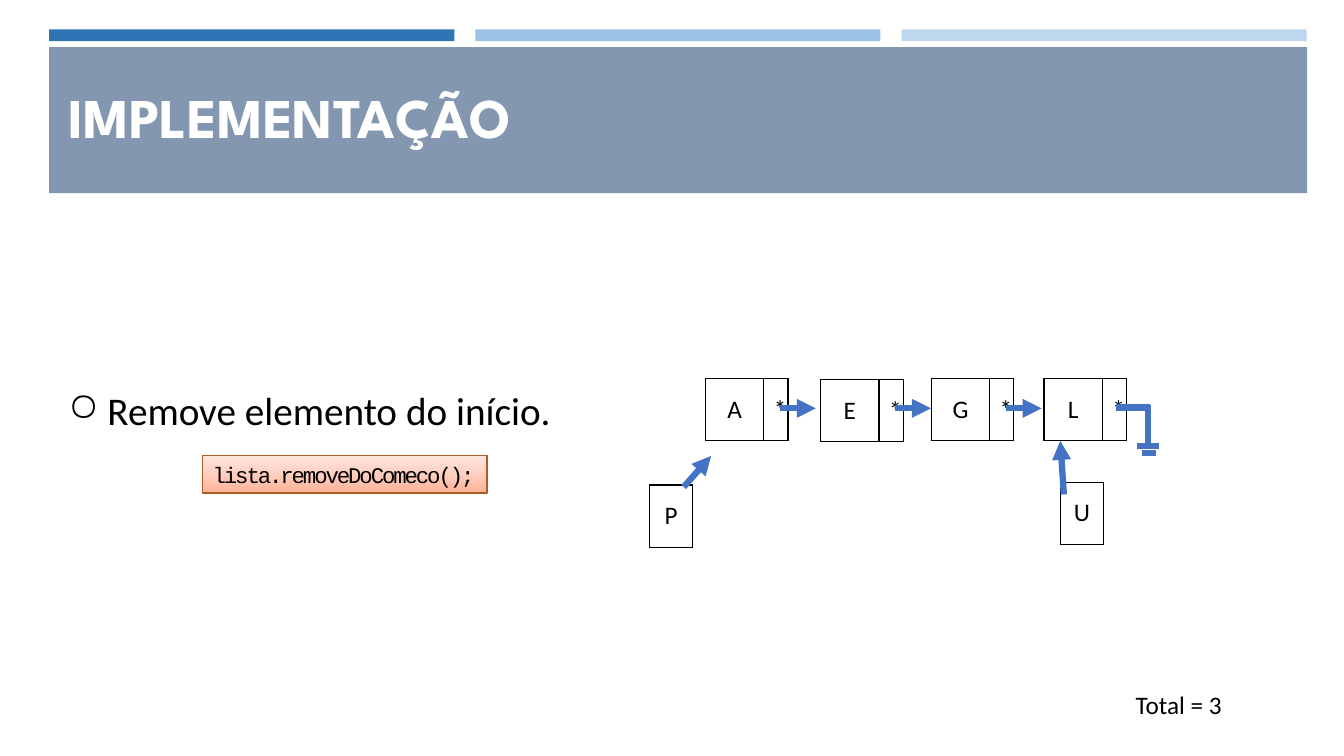
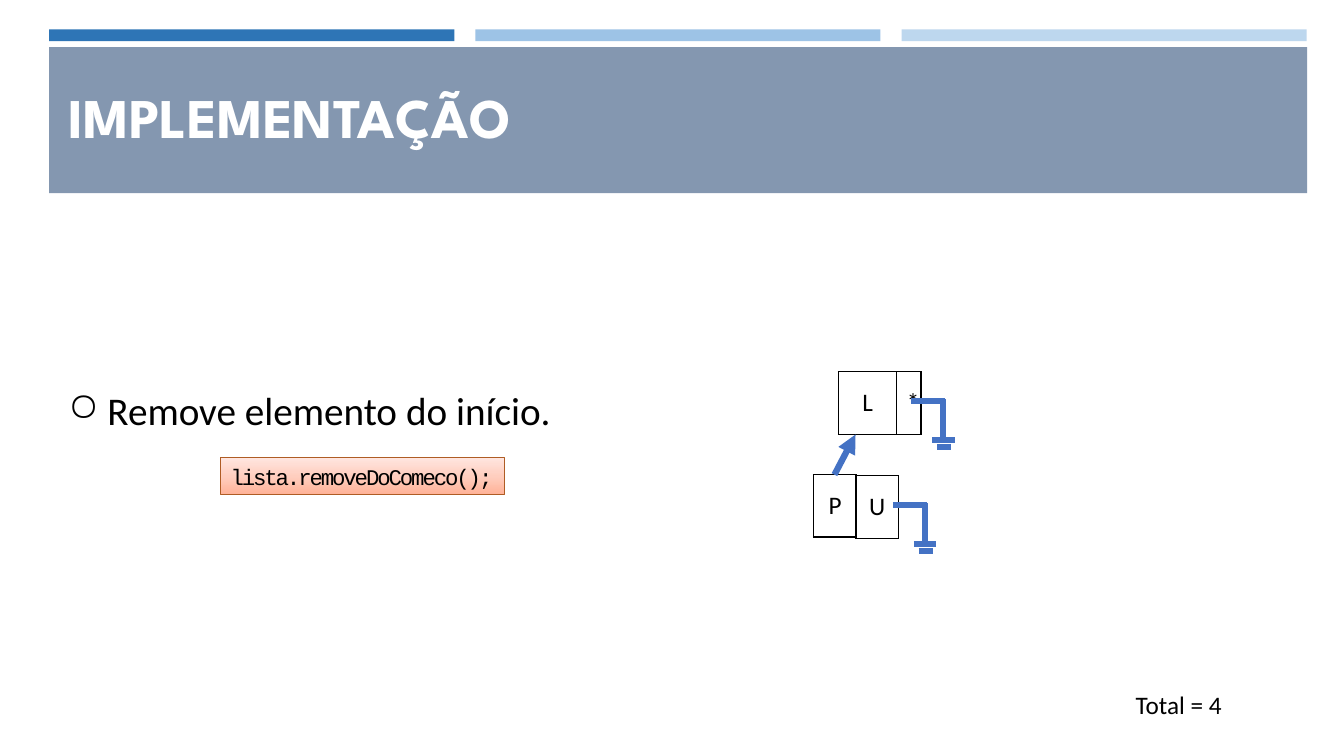
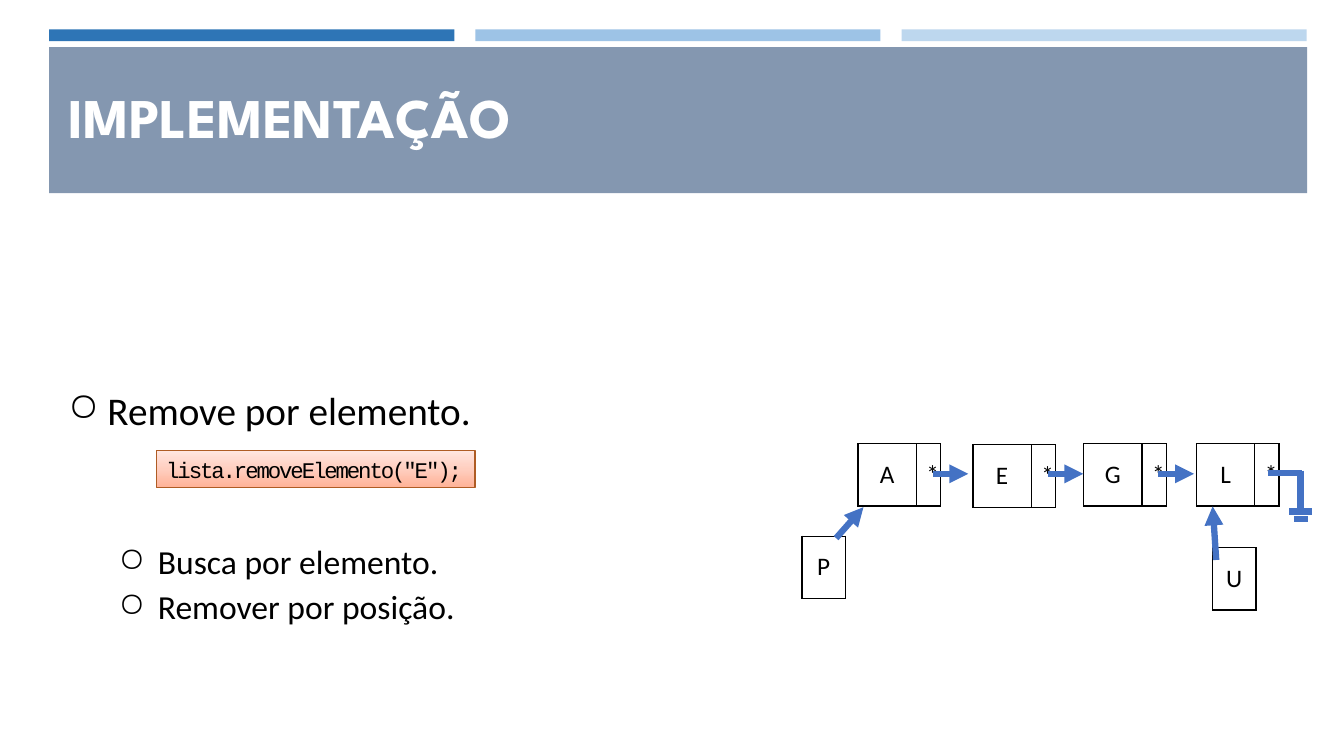
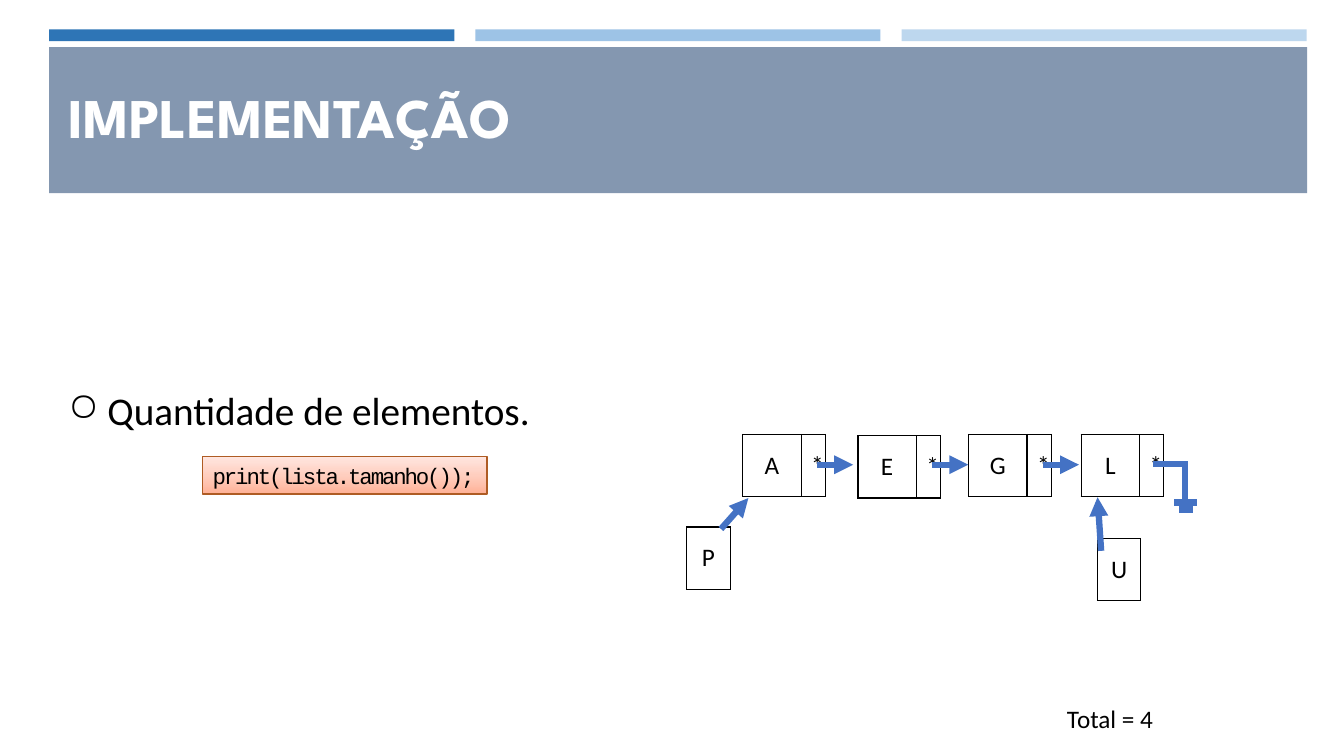
from copy import deepcopy
from pptx import Presentation, util as u
from pptx.dml.color import RGBColor
from pptx.enum import shapes, text
from pptx.oxml import parse_xml
from pptx.oxml.ns import nsdecls, qn

WHITE, BLACK, BLUE, BAND, RUST = "FFFFFF", "000000", "4472C4", "8497B0", "AF5C24"
BARS = ("2E75B6", "9DC3E6", "BDD7EE")
GRADIENT = ((0, "FFB297"), (0.5, "FFCEBF"), (1, "FFE6E0"))
LABEL = {"wrap": False, "auto_size": text.MSO_AUTO_SIZE.SHAPE_TO_FIT_TEXT}
NODE_COLUMNS, POINTER_COLUMNS, NODE_HEIGHT = (1.47, 0.61), (1.09,), 1.57
NODES = (("A", 0, 0), ("E", 2.9, 0.03), ("G", 5.69, 0), ("L", 8.53, 0))
GROUND = ((0, 0, 0.86, 0), (0.81, -0.06, 0.81, 0.93),
          (0.53, 0.97, 1.1, 0.97), (0.65, 1.15, 1, 1.15))

SLIDES = (
    {"topics": [("Remove elemento do início.", 0)],
     "code": ("lista.removeDoComeco();", 5.11, 11.48, 7.16),
     "total": ("Total = 3", 28.37, 17.25),
     "chain": (17.78, 9.53, 0.36)},
    {"topics": [("Remove elemento do início.", 0)],
     "code": ("lista.removeDoComeco();", 5.56, 11.53, 7.16),
     "total": ("Total = 4", 28.37, 17.25),
     "tables": [("L", 21.13, 9.37), ("U", 21.56, 11.99), ("P", 20.5, 11.96)],
     "arrows": [(21.03, 11.96, 21.56, 10.95)],
     "grounds": [(22.96, 10.11), (22.5, 12.73)]},
    {"topics": [("Remove por elemento.", 0), ("Busca por elemento.", 1),
                ("Remover por posição.", 1)],
     "code": ('lista.removeElemento("E");', 3.94, 11.35, 8.03),
     "chain": (21.62, 11.18, 0)},
    {"topics": [("Quantidade de elementos.", 0)],
     "code": ("print(lista.tamanho());", 5.11, 11.51, 7.16),
     "total": ("Total = 4", 26.64, 17.6),
     "chain": (18.72, 10.95, 0)},
)


def paint(fill, colour):
    fill.solid()
    fill.fore_color.rgb = RGBColor.from_string(colour)


def write(para, words, size=18, font="Calibri", colour=BLACK, **formats):
    for name, value in formats.items():
        setattr(para, name, value)
    span = para.add_run()
    span.text = words
    span.font.size, span.font.name = u.Pt(size), font
    paint(span.font.fill, colour)
    return span


deck = Presentation()
deck.slide_width, deck.slide_height = u.Cm(33.87), u.Cm(19.05)
JUSTIFIED = {"alignment": text.PP_ALIGN.JUSTIFY, "space_after": u.Pt(3)}

for content in SLIDES:
    page = deck.slides.add_slide(deck.slide_layouts[6])

    blocks = [(BAND, 1.24, 1.19, 31.7, 3.68)]
    blocks += [(bar, 1.24 + 10.74 * i, 0.74, 10.21, 0.3) for i, bar in enumerate(BARS)]
    for colour, *place in blocks:
        block = page.shapes.add_shape(shapes.MSO_SHAPE.RECTANGLE, *map(u.Cm, place))
        block.shadow.inherit = False
        paint(block.fill, colour)
        block.line.fill.background()

    title = page.shapes.add_textbox(*map(u.Cm, (1.47, 1.19, 31.47, 3.68))).text_frame
    title.word_wrap, title.vertical_anchor = True, text.MSO_ANCHOR.MIDDLE
    span = write(title.paragraphs[0], "IMPLEMENTAÇÃO", 40, "League Spartan", WHITE,
                 line_spacing=0.9)
    span.font.bold = True

    body = page.shapes.add_textbox(*map(u.Cm, (1.47, 9.6, 31.45, 8.99))).text_frame
    body.word_wrap = True
    previous = 0
    for i, (topic, level) in enumerate(content["topics"]):
        para = body.add_paragraph() if i else body.paragraphs[0]
        write(para, topic, 28 - 4 * level, level=level, **JUSTIFIED)
        if level > previous:
            para.space_before = u.Pt(74.4)
        previous = level
        properties = para._p.get_or_add_pPr()
        properties.set("marL", str(u.Cm(0.99 + 1.27 * level)))
        properties.set("indent", str(-u.Cm(0.99)))
        properties.append(parse_xml(f'<a:buChar {nsdecls("a")} char="○"/>'))

    tables = list(content.get("tables", ()))
    arrows = list(content.get("arrows", ()))
    grounds = list(content.get("grounds", ()))
    if "chain" in content:
        x, y, drop = content["chain"]
        tables += [(name, x + dx, y + dy) for name, dx, dy in NODES]
        tables += [("P", x - 1.41, y + 2.33 + drop), ("U", x + 8.94, y + 2.62)]
        arrows += [(x + dx + 1.88, y + 0.76, x + dx + 2.78, y + 0.76)
                   for name, dx, dy in NODES[:-1]]
        arrows += [(x - 0.55, y + 2.38 + drop, x + 0.14, y + 1.6 + drop),
                   (x + 9.03, y + 2.93, x + 8.94, y + 1.58)]
        grounds.append((x + 10.34, y + 0.74))

    for name, left, top in tables:
        pointer = name in "PU"
        columns = POINTER_COLUMNS if pointer else NODE_COLUMNS
        place = map(u.Cm, (left, top, sum(columns), NODE_HEIGHT))
        table = page.shapes.add_table(1, len(columns), *place).table
        table.first_row = table.horz_banding = False
        for i, (width, words) in enumerate(zip(columns, (name, "*"))):
            table.columns[i].width = u.Cm(width)
            cell = table.cell(0, i)
            cell.fill.background()
            cell.vertical_anchor = text.MSO_ANCHOR.MIDDLE
            write(cell.text_frame.paragraphs[0], words,
                  alignment=text.PP_ALIGN.LEFT if i else text.PP_ALIGN.CENTER)
            for order, side in enumerate("LRTB"):
                border = parse_xml(
                    f'<a:ln{side} {nsdecls("a")} w="12700"><a:solidFill>'
                    f'<a:srgbClr val="{BLACK}"/></a:solidFill></a:ln{side}>')
                cell._tc.get_or_add_tcPr().insert(order, border)

    strokes = [(arrow, True) for arrow in arrows]
    strokes += [((x + a, y + b, x + c, y + d), False)
                for x, y in grounds for a, b, c, d in GROUND]
    for ends, pointed in strokes:
        stroke = page.shapes.add_connector(shapes.MSO_CONNECTOR.STRAIGHT, *map(u.Cm, ends))
        paint(stroke.line.fill, BLUE)
        stroke.line.width = u.Pt(4.5)
        if pointed:
            stroke.line._get_or_add_ln().append(
                parse_xml(f'<a:tailEnd {nsdecls("a")} type="triangle"/>'))
        stroke._element.spPr.append(parse_xml(f'<a:effectLst {nsdecls("a")}/>'))

    words, left, top, width = content["code"]
    code = page.shapes.add_shape(shapes.MSO_SHAPE.RECTANGLE,
                                 *map(u.Cm, (left, top, width, 0.94)))
    code.shadow.inherit = False
    code.fill.gradient()
    code.fill.gradient_angle = 90
    stops = code._element.spPr.find(".//" + qn("a:gsLst"))
    stops.insert(1, deepcopy(stops[0]))
    for stop, (position, colour) in zip(code.fill.gradient_stops, GRADIENT):
        stop.position = position
        stop.color.rgb = RGBColor.from_string(colour)
    paint(code.line.fill, RUST)
    code.line.width = u.Pt(1)
    labels = [(code, words, 16, "Courier New")]

    if "total" in content:
        words, left, top = content["total"]
        total = page.shapes.add_textbox(*map(u.Cm, (left, top, 2.69, 1.02)))
        paint(total.fill, WHITE)
        labels.append((total, words, 18, "Calibri"))

    for box, words, size, font in labels:
        frame = box.text_frame
        frame.word_wrap, frame.auto_size = LABEL["wrap"], LABEL["auto_size"]
        span = write(frame.paragraphs[0], words, size, font, **JUSTIFIED)
        if box is code:
            span.font._element.set("spc", "-150")

deck.save("out.pptx")
